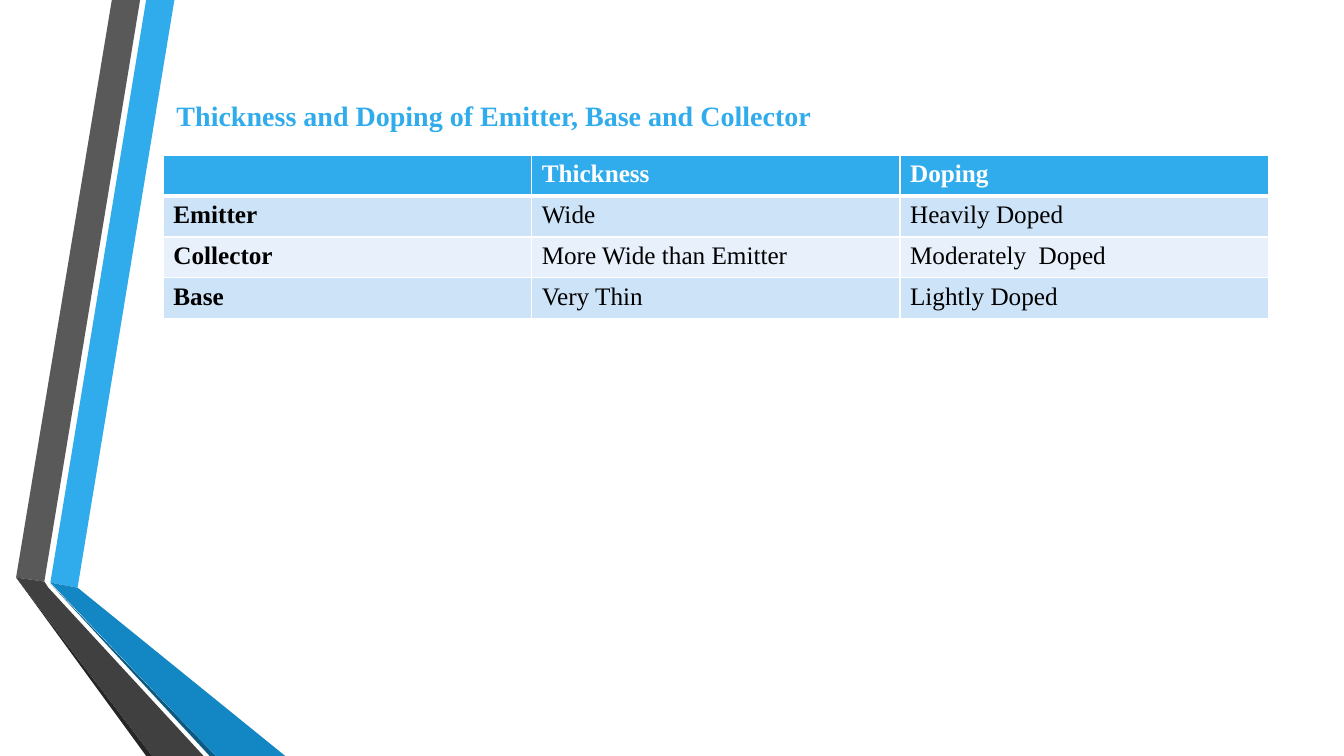
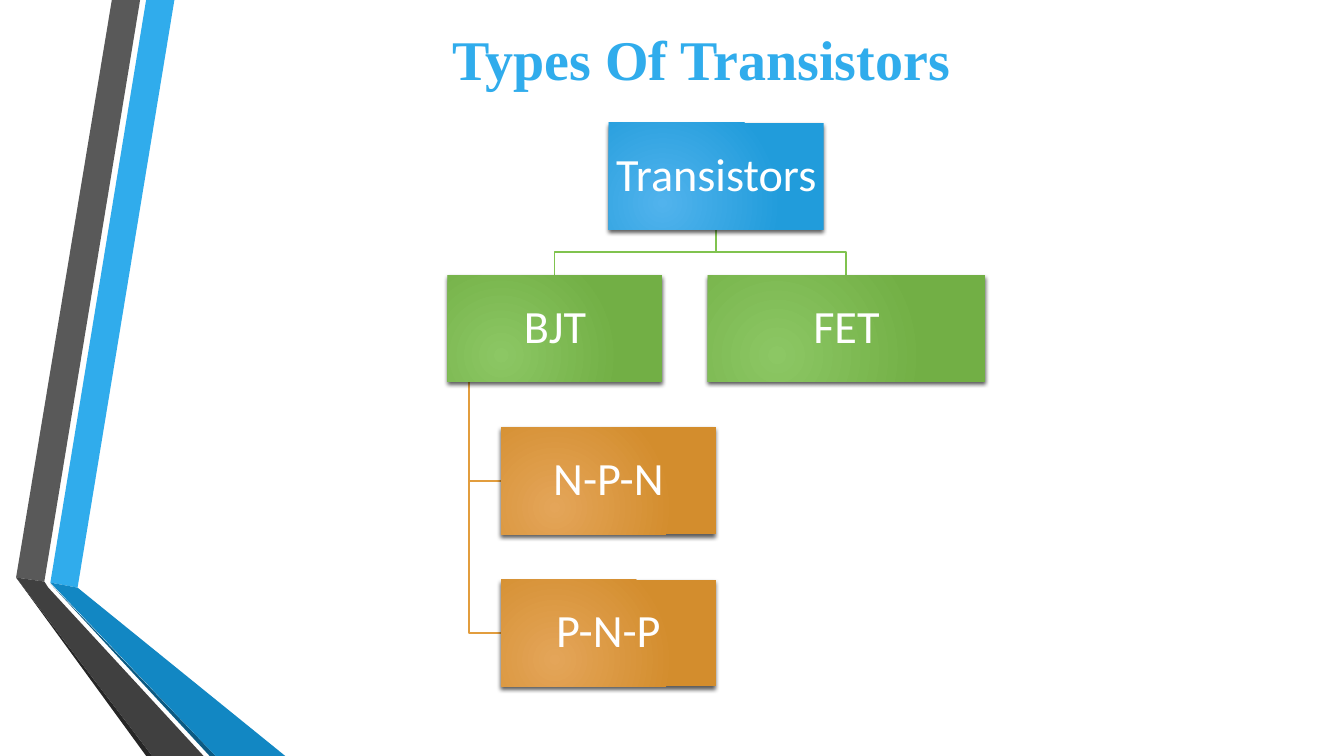
import pptx
import pptx.util
import pptx.dml.color
import pptx.enum.shapes
import pptx.enum.text
import pptx.oxml
import pptx.oxml.ns
import lxml.etree

RGBColor = pptx.dml.color.RGBColor
qn = pptx.oxml.ns.qn
PX = 9144
PAGE_SIZE = (1333, 750)

WHITE = RGBColor(0xFF, 0xFF, 0xFF)
BLACK = RGBColor(0x00, 0x00, 0x00)
BLUE = RGBColor(0x30, 0xAC, 0xEC)
MID_BLUE = RGBColor(0x12, 0x87, 0xC3)
DEEP_BLUE = RGBColor(0x0C, 0x5A, 0x82)
GREY = RGBColor(0x59, 0x59, 0x59)
DARK_GREY = RGBColor(0x40, 0x40, 0x40)
NEAR_BLACK = RGBColor(0x26, 0x26, 0x26)
ROW_DARK = RGBColor(0xCD, 0xE3, 0xF8)
ROW_LIGHT = RGBColor(0xE8, 0xF1, 0xFB)
GREEN_LINE = RGBColor(0x80, 0xC3, 0x4F)
ORANGE_LINE = RGBColor(0xE2, 0x9D, 0x3E)
BLUE_GLOW = (RGBColor(0x51, 0xB3, 0xED), RGBColor(0x21, 0x9C, 0xDB))
GREEN_GLOW = (RGBColor(0x8C, 0xC7, 0x64), RGBColor(0x72, 0xAF, 0x45))
ORANGE_GLOW = (RGBColor(0xE4, 0xA5, 0x59), RGBColor(0xD3, 0x8D, 0x2D))

SERIF = "Times New Roman"
SANS = "Calibri"

RIBBONS = [
    (BLUE, [(50, 578), (77, 583), (173, 0), (145, 0)]),
    (GREY, [(139, 0), (111, 0), (16, 573), (44, 577)]),
    (NEAR_BLACK, [(16, 573), (145, 750), (151, 750)]),
    (DEEP_BLUE, [(50, 579), (208, 750), (214, 750)]),
    (MID_BLUE, [(50, 578), (214, 750), (283, 750), (77, 583)]),
    (DARK_GREY, [(16, 573), (151, 750), (202, 750), (48, 583), (44, 577)]),
]

DOPING_ROWS = [
    ("", "Thickness", "Doping"),
    ("Emitter", "Wide", "Heavily Doped"),
    ("Collector", "More Wide than Emitter", "Moderately  Doped"),
    ("Base", "Very Thin", "Lightly Doped"),
]


def to_emu(box):
    return [value * PX for value in box]


def style_text(frame, font, size, color, bold=False):
    for para in frame.paragraphs:
        for span in para.runs:
            span.font.name = font
            span.font.size = pptx.util.Pt(size)
            span.font.bold = bold
            span.font.color.rgb = color


def draw_outline(page, points, closed):
    builder = page.shapes.build_freeform(*points[0], scale=PX)
    builder.add_line_segments(points[1:], close=closed)
    outline = builder.convert_to_shape()
    outline.shadow.inherit = False
    return outline


def move_ribbons_to_layout(page):
    tree = page.slide_layout.shapes.element
    for index, (color, points) in enumerate(RIBBONS):
        ribbon = draw_outline(page, points, True)
        ribbon.fill.solid()
        ribbon.fill.fore_color.rgb = color
        ribbon.line.fill.background()
        tree.insert(2 + index, ribbon.element)


def place_title(page, box, text, size):
    title = page.shapes.title
    title.left, title.top, title.width, title.height = to_emu(box)
    frame = title.text_frame
    frame.text = text
    frame.word_wrap = True
    frame.vertical_anchor = pptx.enum.text.MSO_ANCHOR.MIDDLE
    frame.paragraphs[0].alignment = pptx.enum.text.PP_ALIGN.CENTER
    style_text(frame, SERIF, size, BLUE, True)


def set_borders(cell, widths):
    properties = cell._tc.get_or_add_tcPr()
    for index, (side, width) in enumerate(widths.items()):
        line = pptx.oxml.parse_xml(
            f'<a:{side} {pptx.oxml.ns.nsdecls("a")} w="{pptx.util.Pt(width)}">'
            f'<a:solidFill><a:srgbClr val="{WHITE}"/></a:solidFill></a:{side}>'
        )
        properties.insert(index, line)


def place_table(page, box, rows):
    frame = page.shapes.add_table(len(rows), len(rows[0]), *to_emu(box))
    for row_index, row in enumerate(rows):
        heading = row_index == 0
        fill = BLUE if heading else (ROW_LIGHT, ROW_DARK)[row_index % 2]
        borders = {
            "lnL": 1,
            "lnR": 1,
            "lnT": 3 if row_index == 1 else 1,
            "lnB": 3 if heading else 1,
        }
        for column_index, text in enumerate(row):
            cell = frame.table.cell(row_index, column_index)
            cell.fill.solid()
            cell.fill.fore_color.rgb = fill
            set_borders(cell, borders)
            if text:
                cell.text_frame.text = text
                style_text(cell.text_frame, SERIF, 18, WHITE if heading else BLACK,
                           heading or column_index == 0)


def set_glow(node, colors):
    node.fill.gradient()
    for stop, color in zip(node.fill.gradient_stops, colors):
        stop.color.rgb = color
    gradient = node.element.spPr.find(qn("a:gradFill"))
    gradient.remove(gradient.find(qn("a:lin")))
    circle = lxml.etree.SubElement(gradient, qn("a:path"), {"path": "circle"})
    lxml.etree.SubElement(circle, qn("a:fillToRect"),
                          {"l": "50000", "t": "100000", "r": "100000", "b": "50000"})


def set_drop_shadow(node):
    node.shadow.inherit = False
    effects = node.element.spPr.find(qn("a:effectLst"))
    shadow = lxml.etree.SubElement(
        effects, qn("a:outerShdw"),
        {"blurRad": "38100", "dist": "25400", "dir": "5400000", "rotWithShape": "0"})
    color = lxml.etree.SubElement(shadow, qn("a:srgbClr"), {"val": str(BLACK)})
    lxml.etree.SubElement(color, qn("a:alpha"), {"val": "64000"})


def place_node(page, box, text, colors):
    node = page.shapes.add_shape(pptx.enum.shapes.MSO_SHAPE.RECTANGLE, *to_emu(box))
    set_glow(node, colors)
    node.line.fill.background()
    set_drop_shadow(node)
    frame = node.text_frame
    frame.text = text
    frame.word_wrap = True
    frame.vertical_anchor = pptx.enum.text.MSO_ANCHOR.MIDDLE
    frame.margin_left = frame.margin_right = 2 * PX
    frame.margin_top = frame.margin_bottom = 2 * PX
    para = frame.paragraphs[0]
    para.alignment = pptx.enum.text.PP_ALIGN.CENTER
    para.line_spacing = 0.9
    style_text(frame, SANS, 33, WHITE)


def place_branch(page, points, color):
    branch = draw_outline(page, points, False)
    branch.fill.background()
    branch.line.color.rgb = color
    branch.line.width = pptx.util.Pt(1.25)


def place_transistor_tree(page, box):
    left, top, width, height = box
    node_width, gap = 213, 45
    node_height = (height - 3 * gap) // 4
    levels = [top + index * (node_height + gap) for index in range(4)]
    center = left + width // 2
    fet_left = left + node_width + gap
    fet_width = width - node_width - gap
    leaf_left = left + node_width // 4
    trunk = left + node_width // 10

    root_bottom = levels[0] + node_height
    middle = root_bottom + gap // 2
    for target in (fet_left + fet_width // 2, left + node_width // 2):
        place_branch(page, [(center, root_bottom), (center, middle),
                            (target, middle), (target, levels[1])], GREEN_LINE)
    for level in levels[2:]:
        leaf_middle = level + node_height // 2
        place_branch(page, [(trunk, levels[1] + node_height), (trunk, leaf_middle),
                            (leaf_left, leaf_middle)], ORANGE_LINE)

    nodes = [
        ("Transistors", center - node_width // 2, levels[0], node_width, BLUE_GLOW),
        ("BJT", left, levels[1], node_width, GREEN_GLOW),
        ("N-P-N", leaf_left, levels[2], node_width, ORANGE_GLOW),
        ("P-N-P", leaf_left, levels[3], node_width, ORANGE_GLOW),
        ("FET", fet_left, levels[1], fet_width, GREEN_GLOW),
    ]
    for text, node_left, node_top, wide, colors in nodes:
        place_node(page, (node_left, node_top, wide, node_height), text, colors)


def main():
    deck = pptx.Presentation()
    deck.slide_width, deck.slide_height = to_emu(PAGE_SIZE)
    layout = deck.slide_layouts[5]

    doping_page = deck.slides.add_slide(layout)
    move_ribbons_to_layout(doping_page)
    place_title(doping_page, (162, 75, 656, 79),
                "Thickness and Doping of Emitter, Base and Collector", 20)
    place_table(doping_page, (162, 154, 1096, 162), DOPING_ROWS)

    types_page = deck.slides.add_slide(layout)
    place_title(types_page, (432, 15, 527, 86), "Types Of Transistors", 40)
    place_transistor_tree(types_page, (444, 122, 533, 560))

    deck.save("out.pptx")


if __name__ == "__main__":
    main()
